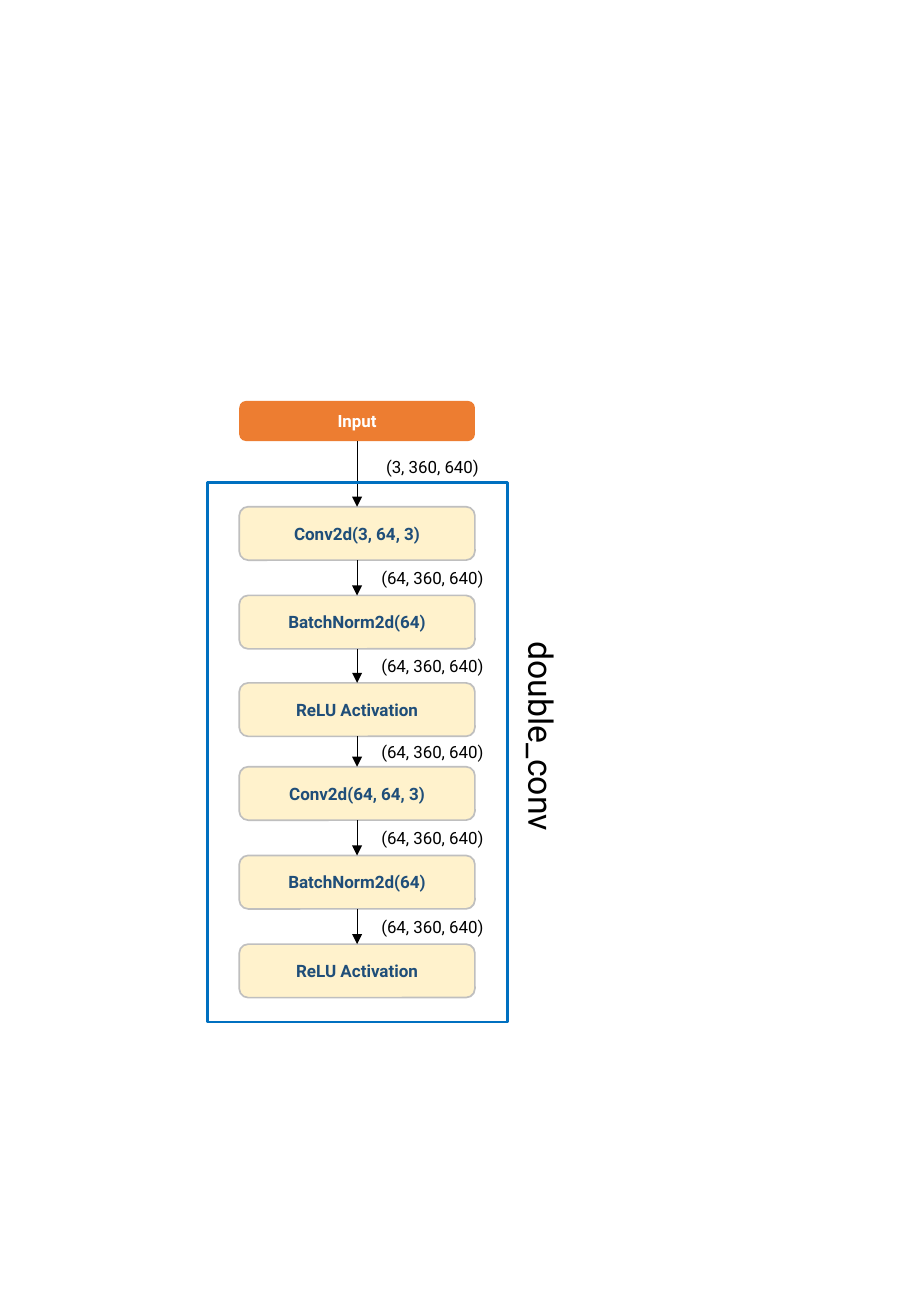
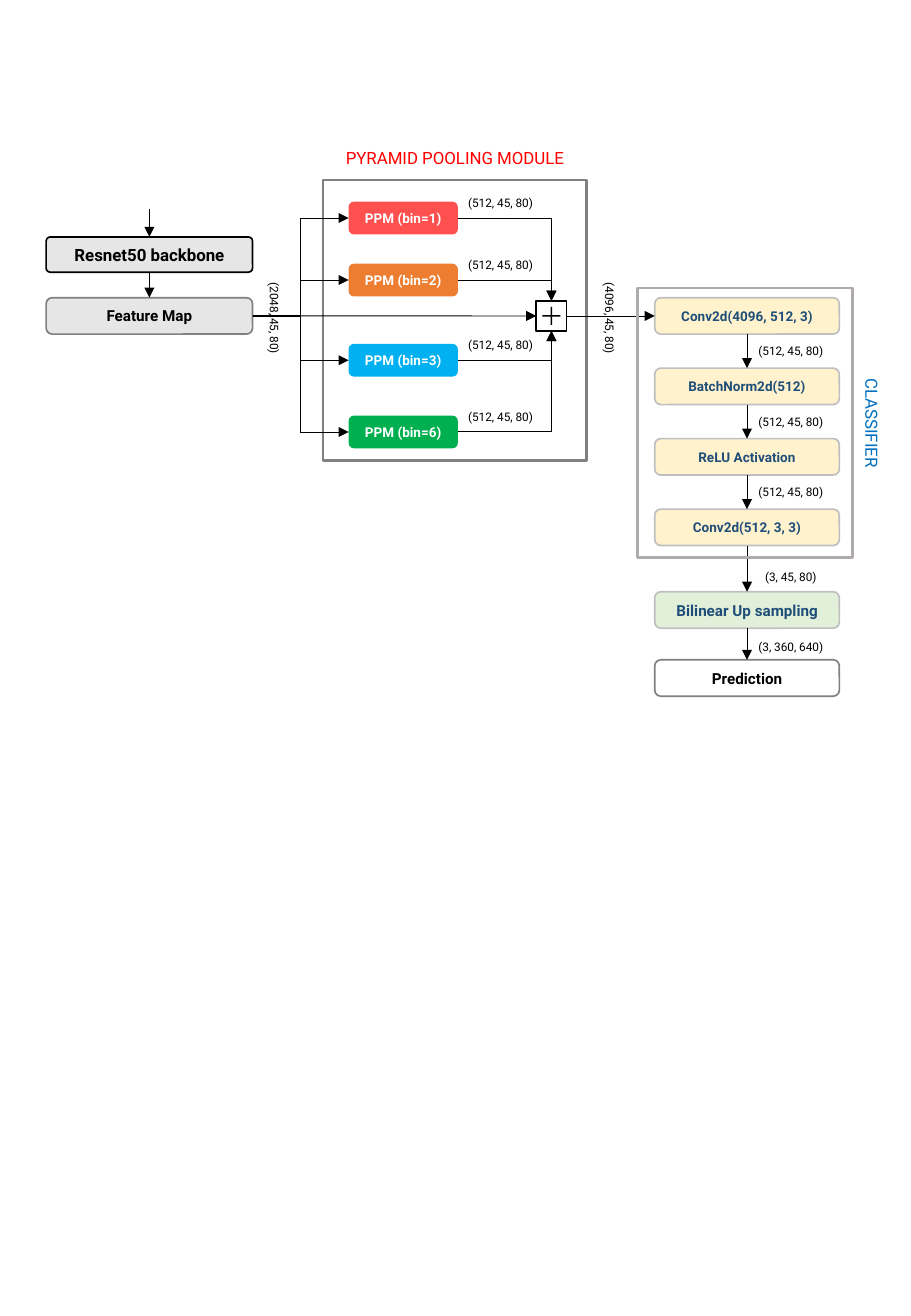
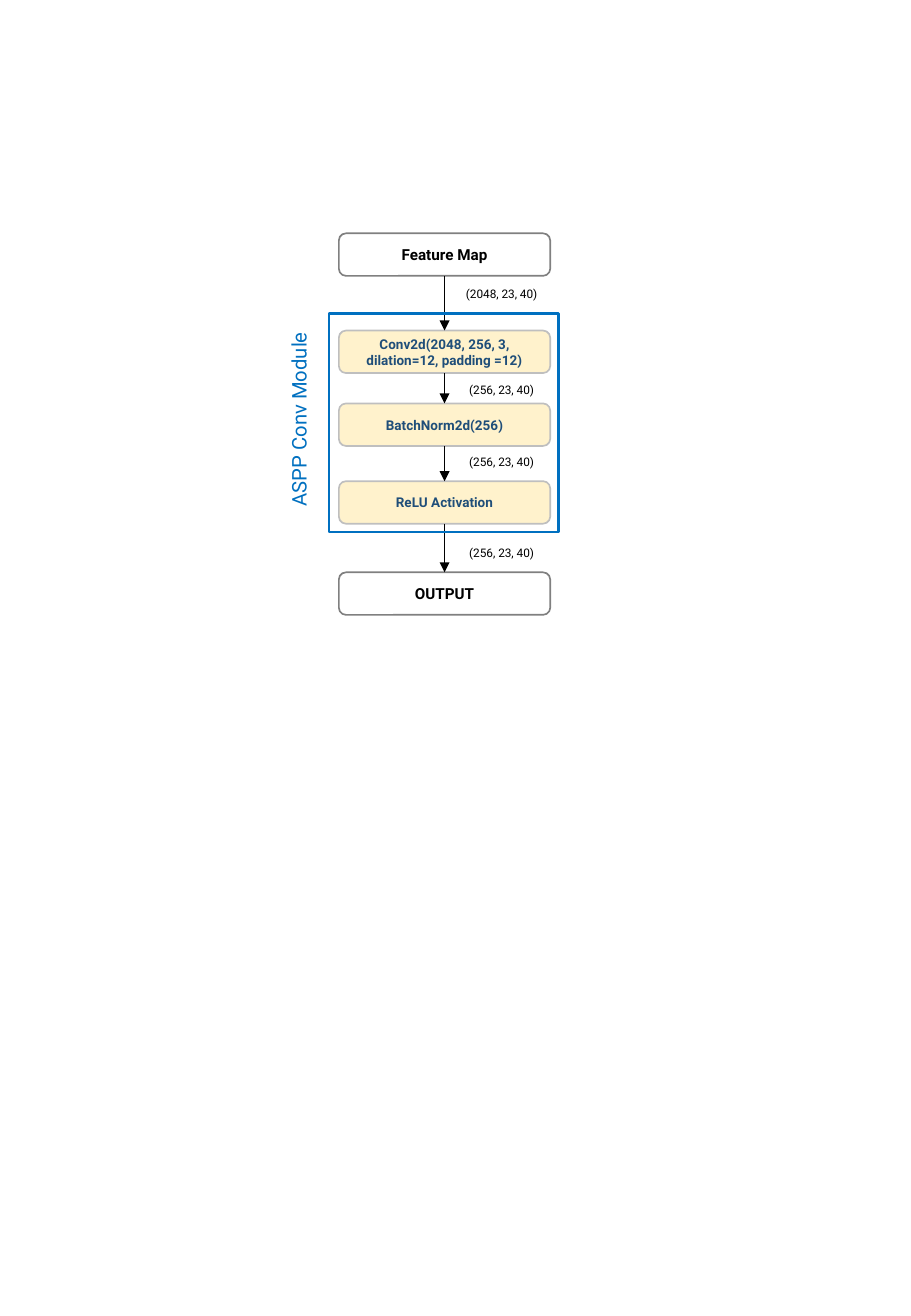
from typing import NamedTuple

from lxml.etree import SubElement
from pptx import Presentation
from pptx.dml.color import RGBColor
from pptx.enum.shapes import MSO_CONNECTOR, MSO_SHAPE
from pptx.enum.text import MSO_ANCHOR, MSO_AUTO_SIZE, PP_ALIGN
from pptx.oxml.ns import qn
from pptx.util import Inches, Pt

FONT = "Roboto"
BLACK, WHITE, GREY, SILVER = "000000", "FFFFFF", "808080", "BFBFBF"
NAVY, BLUE, CREAM, ORANGE, ASH = "1F4E79", "0070C0", "FFF2CC", "ED7D31", "E7E6E6"
TOP, LEFT, BOTTOM, RIGHT = range(4)  # connection sites of a box


class Style(NamedTuple):
    fill: str = ""
    line: str = ""
    color: str = BLACK
    size: float = 9
    width: float = 1


class Layer(NamedTuple):
    text: str
    style: Style
    gap: float = 0      # space above the layer
    label: str = ""     # tensor shape beside the arrow into the layer
    shift: float = 0    # moves the label off the middle of the gap
    height: float = 0   # replaces the common height of the stack


LARGE_LAYER = Style(CREAM, SILVER, NAVY, 10.1)
SMALL_LAYER = Style(CREAM, SILVER, NAVY, 8)
PLAIN = Style(line=GREY)


def rgb(value):
    return RGBColor.from_string(value)


def write(tf, text, size, color, bold=False):
    tf.word_wrap = True
    tf.text = text
    for p in tf.paragraphs:
        p.alignment = PP_ALIGN.CENTER
        p.font.name, p.font.size, p.font.bold = FONT, Pt(size), bold
        p.font.color.rgb = rgb(color)


def box(s, x, y, w, h, style, text="", preset=MSO_SHAPE.RECTANGLE):
    sp = s.shapes.add_shape(preset, *map(Inches, (x, y, w, h)))
    sp.shadow.inherit = False
    if style.fill:
        sp.fill.solid()
        sp.fill.fore_color.rgb = rgb(style.fill)
    else:
        sp.fill.background()
    if style.line:
        sp.line.color.rgb = rgb(style.line)
        sp.line.width = Pt(style.width)
    else:
        sp.line.fill.background()
    if text:
        tf = sp.text_frame
        tf.margin_left = tf.margin_right = Inches(0.06)
        tf.margin_top = tf.margin_bottom = Inches(0.03)
        tf.vertical_anchor = MSO_ANCHOR.MIDDLE
        write(tf, text, style.size, style.color, bold=True)
    return sp


def node(s, x, y, w, h, style, text):
    return box(s, x, y, w, h, style, text, MSO_SHAPE.ROUNDED_RECTANGLE)


def frame(s, x, y, w, h, color):
    return box(s, x, y, w, h, Style(line=color, width=1.5))


def label(s, text, cx, cy, w, size=7, color=BLACK, rotation=0):
    """Text centred on a point; its height follows from the font size."""
    h = size * 1.2 / 72 + 0.1
    sp = s.shapes.add_textbox(*map(Inches, (cx - w / 2, cy - h / 2, w, h)))
    sp.rotation = rotation
    write(sp.text_frame, text, size, color)
    sp.text_frame.auto_size = MSO_AUTO_SIZE.SHAPE_TO_FIT_TEXT


def link(s, target, entry, source=None, leave=BOTTOM, start=(0, 0), preset=""):
    """Arrow into a shape, from another shape or from a free point."""
    kind = MSO_CONNECTOR.ELBOW if preset else MSO_CONNECTOR.STRAIGHT
    x, y = map(Inches, start)
    c = s.shapes.add_connector(kind, x, y, x, y)
    if source is not None:
        c.begin_connect(source, leave)
    c.end_connect(target, entry)
    c.line.color.rgb = rgb(BLACK)
    c.line.width = Pt(0.5)
    SubElement(c.line._get_or_add_ln(), qn("a:tailEnd"), type="triangle")
    props = c._element.spPr
    SubElement(props, qn("a:effectLst"))
    if preset:
        props.find(qn("a:prstGeom")).set("prst", preset)


def stack(s, x, y, w, h, layers, label_dx=0, label_w=1, label_size=7):
    """Column of layers joined by arrows; returns its boxes."""
    boxes = []
    for layer in layers:
        height = layer.height or h
        y += layer.gap
        boxes.append(node(s, x, y, w, height, layer.style, layer.text))
        if len(boxes) > 1:
            link(s, boxes[-1], TOP, boxes[-2])
        if layer.label:
            label(s, layer.label, x + w / 2 + label_dx,
                  y - layer.gap / 2 + layer.shift, label_w, label_size)
        y += height
    return boxes


def pyramid_pooling(s, x, y, w, h, feature_map):
    """Four pooling branches and their sum; returns the sum box."""
    frame(s, x, y, w, h, GREY)
    label(s, "PYRAMID POOLING MODULE", x + w / 2, y - 0.18, w, 10, "FF0000")
    side, plus = 0.25, 0.2
    sum_x, sum_y = x + 1.88, y + 1.12
    total = box(s, sum_x - side / 2, sum_y - side / 2, side, side, Style(line=BLACK))
    sign = box(s, sum_x - plus / 2, sum_y - plus / 2, plus, plus, Style(BLACK),
               preset=MSO_SHAPE.MATH_PLUS)
    sign.adjustments[0] = 0.07
    branches = [(1, 0.18, "FF5050"), (2, 0.69, ORANGE),
                (3, 1.35, "00B0F0"), (6, 1.94, "00B050")]
    for bins, top, fill in branches:
        ppm = node(s, x + 0.21, y + top, 0.9, 0.27,
                   Style(fill, color=WHITE, size=8), f"PPM (bin={bins})")
        link(s, ppm, LEFT, feature_map, RIGHT, preset="bentConnector3")
        link(s, total, TOP if y + top < sum_y else BOTTOM, ppm, RIGHT,
             preset="bentConnector2")
        label(s, "(512, 45, 80)", x + 1.46, y + top + 0.01, 0.79)
    link(s, total, LEFT, feature_map, RIGHT)
    return total


def double_conv_slide(s):
    shape = "(64, 360, 640)"
    stack(s, 1.97, 3.3, 1.94, 0.44, [
        Layer("Input", Style(ORANGE, color=WHITE, size=10), height=0.33),
        Layer("Conv2d(3, 64, 3)", LARGE_LAYER, 0.54, "(3, 360, 640)", -0.06),
        Layer("BatchNorm2d(64)", LARGE_LAYER, 0.29, shape),
        Layer("ReLU Activation", LARGE_LAYER, 0.28, shape),
        Layer("Conv2d(64, 64, 3)", LARGE_LAYER, 0.25, shape),
        Layer("BatchNorm2d(64)", LARGE_LAYER, 0.29, shape),
        Layer("ReLU Activation", LARGE_LAYER, 0.29, shape),
    ], label_dx=0.62, label_w=1.23, label_size=10)
    frame(s, 1.71, 3.97, 2.47, 4.44, BLUE)
    label(s, "double_conv", 4.46, 6.06, 1.93, 20, rotation=90)


def pyramid_slide(s):
    # Backbone
    backbone, feature_map = stack(s, 0.38, 1.95, 1.7, 0.3, [
        Layer("Resnet50 backbone", Style(ASH, BLACK, size=10), height=0.29),
        Layer("Feature Map", Style(ASH, GREY), 0.21),
    ])
    backbone.adjustments[0] = 0.12
    link(s, backbone, TOP, start=(1.23, 1.72))

    # Pooling module
    total = pyramid_pooling(s, 2.66, 1.48, 2.17, 2.31, feature_map)

    # Classifier and prediction
    shape = "(512, 45, 80)"
    layers = stack(s, 5.39, 2.45, 1.52, 0.3, [
        Layer("Conv2d(4096, 512, 3)", SMALL_LAYER),
        Layer("BatchNorm2d(512)", SMALL_LAYER, 0.28, shape),
        Layer("ReLU Activation", SMALL_LAYER, 0.28, shape),
        Layer("Conv2d(512, 3, 3)", SMALL_LAYER, 0.28, shape),
        Layer("Bilinear Up sampling", Style("E2F0D9", SILVER, NAVY), 0.38,
              "(3, 45, 80)", 0.07),
        Layer("Prediction", PLAIN, 0.26, "(3, 360, 640)", 0.02),
    ], label_dx=0.36, label_w=0.79)
    link(s, layers[0], LEFT, total, RIGHT)
    frame(s, 5.25, 2.37, 1.77, 2.22, "AFABAB")
    label(s, "CLASSIFIER", 7.18, 3.48, 1.69, 10, BLUE, 90)

    # Tensor shapes around the pooling module
    for text, cx in (("(2048, 45, 80)", 2.26), ("(4096, 45, 80)", 5.02)):
        label(s, text, cx, 2.62, 0.91, rotation=90)


def aspp_slide(s):
    shape = "(256, 23, 40)"
    stack(s, 2.79, 1.92, 1.74, 0.35, [
        Layer("Feature Map", PLAIN),
        Layer("Conv2d(2048, 256, 3,\ndilation=12, padding =12)", SMALL_LAYER, 0.45,
              "(2048, 23, 40)", -0.08),
        Layer("BatchNorm2d(256)", SMALL_LAYER, 0.25, shape, 0.01),
        Layer("ReLU Activation", SMALL_LAYER, 0.29, shape, -0.01),
        Layer("OUTPUT", PLAIN, 0.4, shape, 0.04),
    ], label_dx=0.47, label_w=0.9)
    frame(s, 2.71, 2.58, 1.89, 1.8, BLUE)
    label(s, "ASPP Conv Module", 2.46, 3.45, 2.13, 12, BLUE, 270)


def main():
    prs = Presentation()
    prs.slide_width, prs.slide_height = Inches(7.5), Inches(10.83)
    for build in (double_conv_slide, pyramid_slide, aspp_slide):
        build(prs.slides.add_slide(prs.slide_layouts[6]))
    prs.save("out.pptx")


if __name__ == "__main__":
    main()
